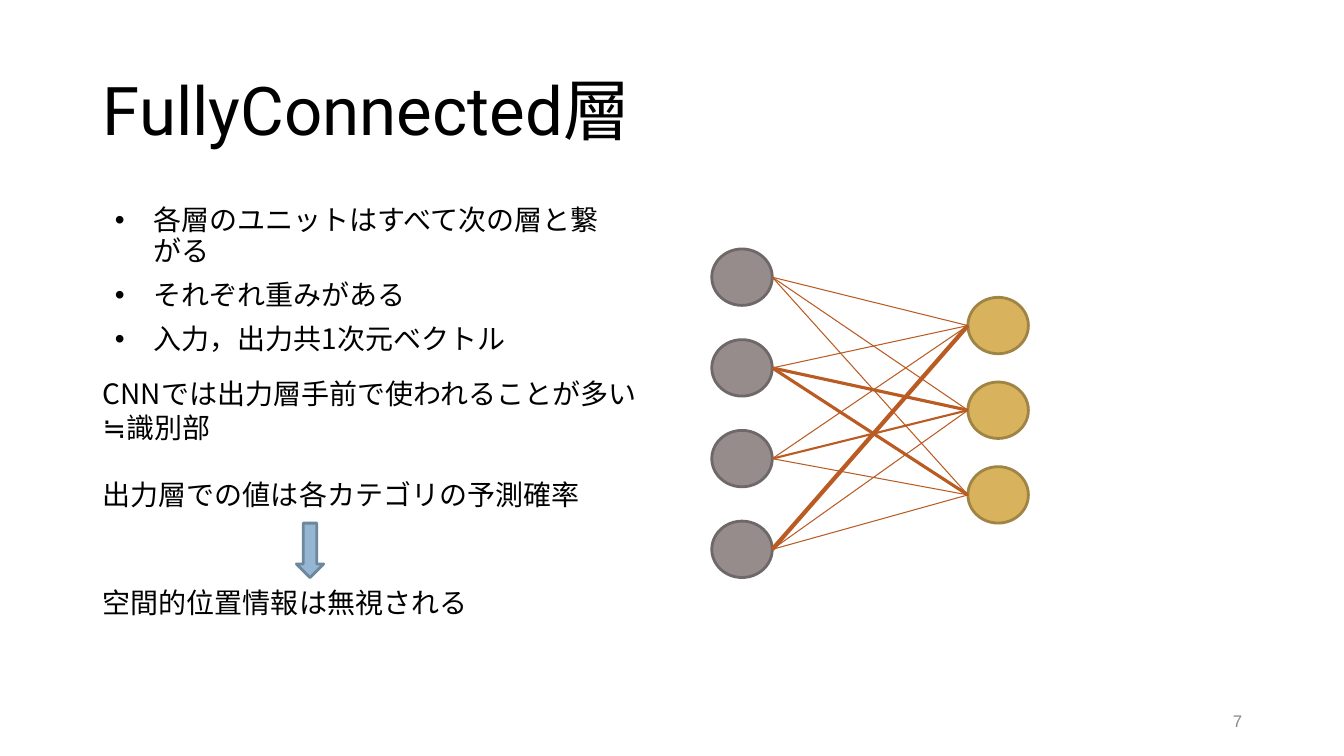
"""Builds a slide on fully connected layers with a weighted network diagram."""
from lxml import etree
from pptx import Presentation
from pptx.dml.color import RGBColor
from pptx.enum.shapes import MSO_CONNECTOR, MSO_SHAPE
from pptx.enum.text import MSO_ANCHOR, MSO_AUTO_SIZE, PP_ALIGN
from pptx.oxml.ns import qn
from pptx.util import Inches, Pt

CIRCLE = MSO_SHAPE.FLOWCHART_CONNECTOR
DOWN_ARROW = MSO_SHAPE.DOWN_ARROW
STRAIGHT = MSO_CONNECTOR.STRAIGHT
LEFT, RIGHT = PP_ALIGN.LEFT, PP_ALIGN.RIGHT
TOP, MIDDLE = MSO_ANCHOR.TOP, MSO_ANCHOR.MIDDLE

JP_FONT = "Noto Sans CJK JP"
BLACK, GRAY, ORANGE = "000000", "888888", "B95B22"

TITLE = "Fully Connected 層".replace(" ", "")
BULLETS = ["各層のユニットはすべて次の層と繋がる", "それぞれ重みがある", "入力，出力共1次元ベクトル"]
NOTES = ["CNNでは出力層手前で使われることが多い", "≒識別部", "出力層での値は各カテゴリの予測確率"]
CONCLUSION = ["空間的位置情報は無視される"]
PAGE = ["7"]

NODE_W, NODE_H = 0.6, 0.56
INPUTS = {"left": 7.06, "top": 2.47, "step": 0.9, "count": 4, "fill": "968C8C", "line": "6F6868"}
OUTPUTS = {"left": 9.6, "top": 2.95, "step": 0.84, "count": 3, "fill": "D8B25C", "line": "A08444"}
WEIGHTS = [
    (0.75, 0.75, 0.75),
    (0.75, 2.25, 2.25),
    (0.75, 1.5, 0.75),
    (3, 0.75, 0.75),
]


def rgb(value):
    return RGBColor.from_string(value)


def place(sp, left, top, width, height):
    sp.left, sp.top = Inches(left), Inches(top)
    sp.width, sp.height = Inches(width), Inches(height)


def write(sp, lines, size, font=JP_FONT, color=BLACK, align=LEFT, anchor=TOP, wrap=True):
    tf = sp.text_frame
    tf.text = "\n".join(lines)
    tf.word_wrap = wrap
    tf.auto_size = MSO_AUTO_SIZE.NONE
    tf.vertical_anchor = anchor
    for p in tf.paragraphs:
        p.alignment = align
        p.font.size = Pt(size)
        p.font.name = font
        p.font.color.rgb = rgb(color)
    for props in sp.element.iter(qn("a:defRPr")):
        etree.SubElement(props, qn("a:ea"), typeface=JP_FONT)
    return tf.paragraphs


def add_text(s, box, lines, size, **style):
    return write(s.shapes.add_textbox(*map(Inches, box)), lines, size, **style)


def add_bullet(p):
    props = p._p.get_or_add_pPr()
    props.set("marL", str(Inches(0.5)))
    props.set("indent", str(Inches(-0.38)))
    font = etree.Element(qn("a:buFont"), typeface="Arial")
    char = etree.Element(qn("a:buChar"), char="•")
    default = props.find(qn("a:defRPr"))
    default.addprevious(font)
    default.addprevious(char)


def add_filled(s, kind, box, fill, line):
    sp = s.shapes.add_shape(kind, *map(Inches, box))
    sp.shadow.inherit = False
    sp.fill.solid()
    sp.fill.fore_color.rgb = rgb(fill)
    sp.line.color.rgb = rgb(line)
    sp.line.width = Pt(2)


def add_layer(s, layer):
    tops = [layer["top"] + i * layer["step"] for i in range(layer["count"])]
    for top in tops:
        add_filled(s, CIRCLE, (layer["left"], top, NODE_W, NODE_H), layer["fill"], layer["line"])
    return [top + NODE_H / 2 for top in tops]


def add_edge(s, start, end, weight):
    edge = s.shapes.add_connector(STRAIGHT, *map(Inches, start + end))
    edge.line.color.rgb = rgb(ORANGE)
    edge.line.width = Pt(weight)
    etree.SubElement(edge.element.spPr, qn("a:effectLst"))


def main():
    prs = Presentation()
    prs.slide_width, prs.slide_height = Inches(13.33), Inches(7.5)
    s = prs.slides.add_slide(prs.slide_layouts[5])

    title = s.shapes.title
    place(title, 0.92, 0.4, 11.5, 1.45)
    write(title, [TITLE], 48, font="Roboto", anchor=MIDDLE)[0].line_spacing = 0.9

    for p in add_text(s, (0.92, 2, 5.34, 1.65), BULLETS, 20):
        p.line_spacing = 0.9
        p.space_before = Pt(10)
        add_bullet(p)

    notes = add_text(s, (0.92, 3.69, 5.41, 1.48), NOTES, 20, wrap=False)
    notes[-1].space_before = Pt(24)
    add_filled(s, DOWN_ARROW, (2.94, 5.19, 0.27, 0.54), "94B6D2", "6D879B")
    add_text(s, (0.92, 5.76, 5.41, 0.46), CONCLUSION, 20, wrap=False)
    add_text(s, (9.42, 6.95, 3, 0.4), PAGE, 12, font="Arial", color=GRAY, align=RIGHT, anchor=MIDDLE)

    input_ys, output_ys = add_layer(s, INPUTS), add_layer(s, OUTPUTS)
    for y1, row in zip(input_ys, WEIGHTS):
        for y2, weight in zip(output_ys, row):
            add_edge(s, (INPUTS["left"] + NODE_W, y1), (OUTPUTS["left"], y2), weight)

    prs.save("out.pptx")


if __name__ == "__main__":
    main()
